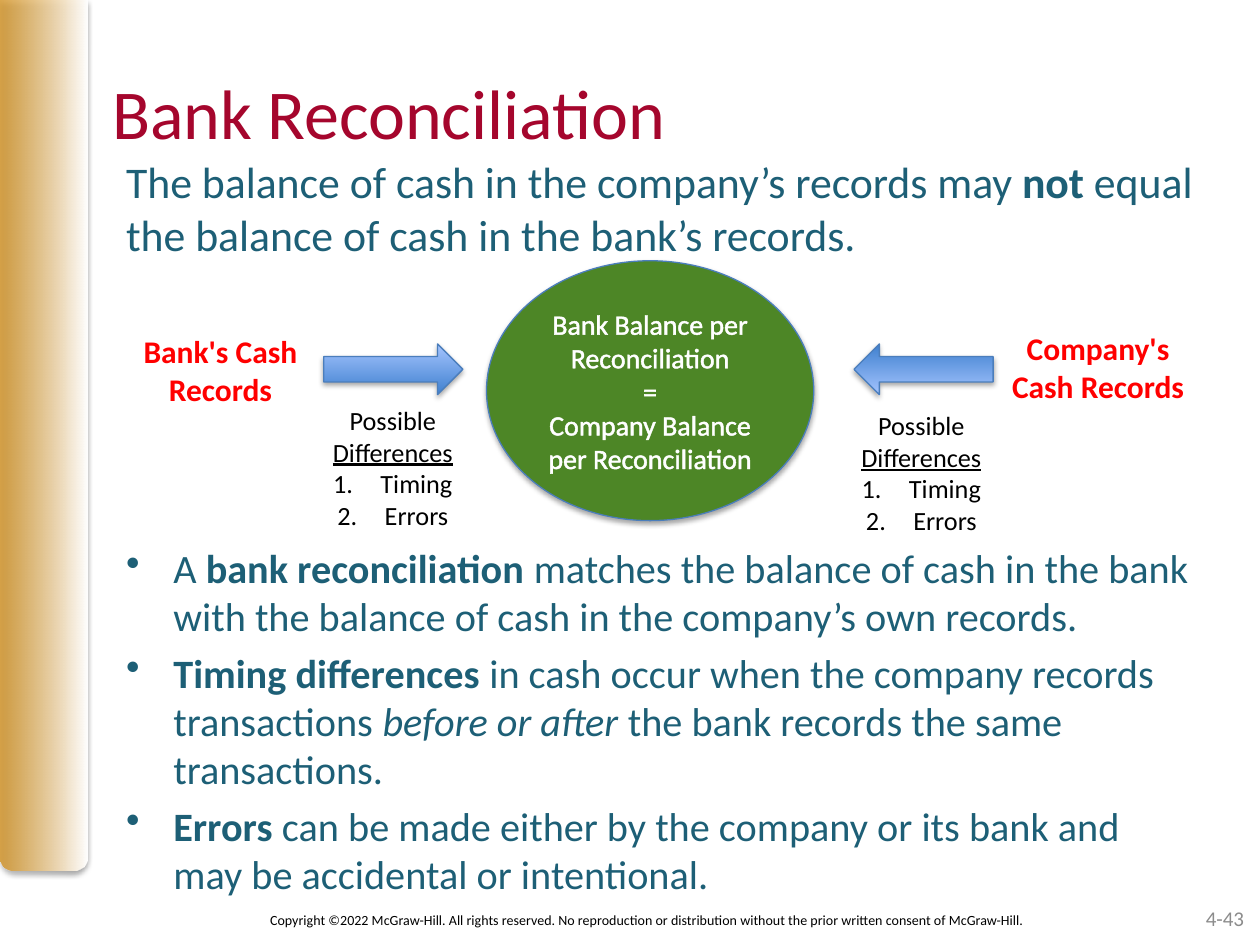
from lxml.etree import SubElement as Sub
from pptx import Presentation
from pptx.dml.color import RGBColor
from pptx.enum.shapes import MSO_SHAPE as Kind
from pptx.enum.text import MSO_ANCHOR as Anchor, PP_ALIGN as Align
from pptx.oxml.ns import qn
from pptx.util import Pt

hue = RGBColor.from_string
TEAL, BLACK, RED = "1D5F76", "000000", "FF0000"
BULLET, NUMBER = ("buChar", "char", "•"), ("buAutoNum", "type", "arabicPeriod")


def write(frame, paras, size, color, align=Align.LEFT, gap=0):
    """Fill a frame; each paragraph is (mark or None, [(text, style), ...])."""
    frame.word_wrap = True
    for i, (mark, runs) in enumerate(paras):
        para = frame.paragraphs[0] if i == 0 else frame.add_paragraph()
        para.alignment = align
        para.space_before = Pt(gap if i else 0)
        if mark:
            tag, key, value = mark
            props = para._p.get_or_add_pPr()
            props.set("marL", str(Pt(27)))
            props.set("indent", str(Pt(-27)))
            Sub(props, qn("a:" + tag)).set(key, value)
        para.font.name, para.font.size = "Calibri", Pt(size)
        para.font.color.rgb = hue(color)
        for text, style in runs:
            run = para.add_run()
            run.text = text
            if style:
                setattr(run.font, style, True)


def shade(shape):
    """Give a shape a soft shadow straight below it."""
    shape.shadow.inherit = False
    effects = shape._element.spPr.find(qn("a:effectLst"))
    drop = Sub(effects, qn("a:outerShdw"), blurRad=str(Pt(3.1)),
               dist=str(Pt(1.8)), dir="5400000", rotWithShape="0")
    tone = Sub(drop, qn("a:srgbClr"), val=BLACK)
    Sub(tone, qn("a:alpha"), val="35000")


deck = Presentation()
deck.slide_width, deck.slide_height = Pt(720), Pt(540)
slide = deck.slides.add_slide(deck.slide_layouts[6])
shapes = slide.shapes

# Side bar and arrows
for kind, box, turn, colors, angle in [
    (Kind.ROUND_2_SAME_RECTANGLE, (0, 0, 50, 497.5), 0, ("D49323", "FFFFFF"), 0),
    (Kind.RIGHT_ARROW, (185, 196.5, 79.5, 29), 0, ("3F80CE", "A4C4FF"), 90),
    (Kind.RIGHT_ARROW, (488, 196.5, 79.5, 29), 180, ("3F80CE", "A4C4FF"), 90),
]:
    shape = shapes.add_shape(kind, *map(Pt, box))
    shape.rotation = turn
    shape.fill.gradient()
    shape.fill.gradient_angle = angle
    for stop, color in zip(shape.fill.gradient_stops, colors):
        stop.color.rgb = hue(color)
    if kind == Kind.RIGHT_ARROW:
        shape.line.color.rgb, shape.line.width = hue("4B7EBC"), Pt(0.75)
    else:
        shape.line.fill.background()
        shape._element.spPr.find(qn("a:xfrm")).set("flipV", "1")
        first = next(shape._element.spPr.iter(qn("a:srgbClr")))
        Sub(first, qn("a:alpha"), val="80000")
    shade(shape)

# Central oval
oval = shapes.add_shape(Kind.OVAL, Pt(278), Pt(149), Pt(187), Pt(148.5))
oval.fill.solid()
oval.fill.fore_color.rgb = hue("4D8626")
oval.line.color.rgb, oval.line.width = hue("4B7EBC"), Pt(0.75)
shade(oval)
lines = ["Bank Balance per Reconciliation", "=",
         "Company Balance per Reconciliation"]
write(oval.text_frame, [(None, [(line, None)]) for line in lines],
      16, "FFFFFF", Align.CENTER)
oval.text_frame.vertical_anchor = Anchor.MIDDLE
for para in oval.text_frame.paragraphs:
    for run in para.runs:
        edge = Sub(run._r.get_or_add_rPr(), qn("a:ln"), w=str(Pt(1.45)))
        Sub(Sub(edge, qn("a:solidFill")), qn("a:srgbClr"), val="FFFFFF")

# Texts
title = [(None, [("Bank Reconciliation", None)])]
intro = [(None, [
    ("The balance of cash in the company’s records may ", None),
    ("not", "bold"),
    (" equal the balance of cash in the bank’s records.", None)])]
points = [
    (BULLET, [("A ", None), ("bank reconciliation ", "bold"),
              ("matches the balance of cash in the bank with the balance "
               "of cash in the company’s own records.", None)]),
    (BULLET, [("Timing differences ", "bold"),
              ("in cash occur when the company records transactions ", None),
              ("before or after", "italic"),
              (" the bank records the same transactions.", None)]),
    (BULLET, [("Errors", "bold"),
              (" can be made either by the company or its bank and may be "
               "accidental or intentional.", None)]),
]
bank = [(None, [("Bank's Cash Records", "bold")])]
firm = [(None, [("Company's Cash Records", "bold")])]
causes = [(None, [("Possible", None)]), (None, [("Differences", "underline")]),
          (NUMBER, [("Timing", None)]), (NUMBER, [("Errors", None)])]
rights = [(None, [("Copyright ©2022 McGraw-Hill. All rights reserved. "
                   "No reproduction or distribution without the prior "
                   "written consent of McGraw-Hill.", None)])]
page = [(None, [("4-43", None)])]

for box, paras, size, color, align, gap, anchor in [
    ((57, 36, 648, 90), title, 40, "A5062D", Align.LEFT, 0, Anchor.TOP),
    ((65, 85, 626, 77), intro, 25, TEAL, Align.LEFT, 0, Anchor.TOP),
    ((65, 307, 626, 209), points, 23, TEAL, Align.LEFT, 4.6, Anchor.TOP),
    ((68, 186, 116, 51), bank, 18, RED, Align.CENTER, 0, Anchor.TOP),
    ((569.5, 184.5, 116, 51), firm, 18, RED, Align.CENTER, 0, Anchor.TOP),
    ((150, 227.5, 149, 101.5), causes, 15, BLACK, Align.CENTER, 0, Anchor.TOP),
    ((452, 230.5, 149, 101.5), causes, 15, BLACK, Align.CENTER, 0, Anchor.TOP),
    ((112.5, 511, 515, 29), rights, 8, BLACK, Align.CENTER, 0, Anchor.MIDDLE),
    ((550, 510, 168, 29), page, 12, "8C8C8C", Align.RIGHT, 0, Anchor.MIDDLE),
]:
    frame = shapes.add_textbox(*map(Pt, box)).text_frame
    frame.vertical_anchor = anchor
    write(frame, paras, size, color, align, gap)

deck.save("out.pptx")
